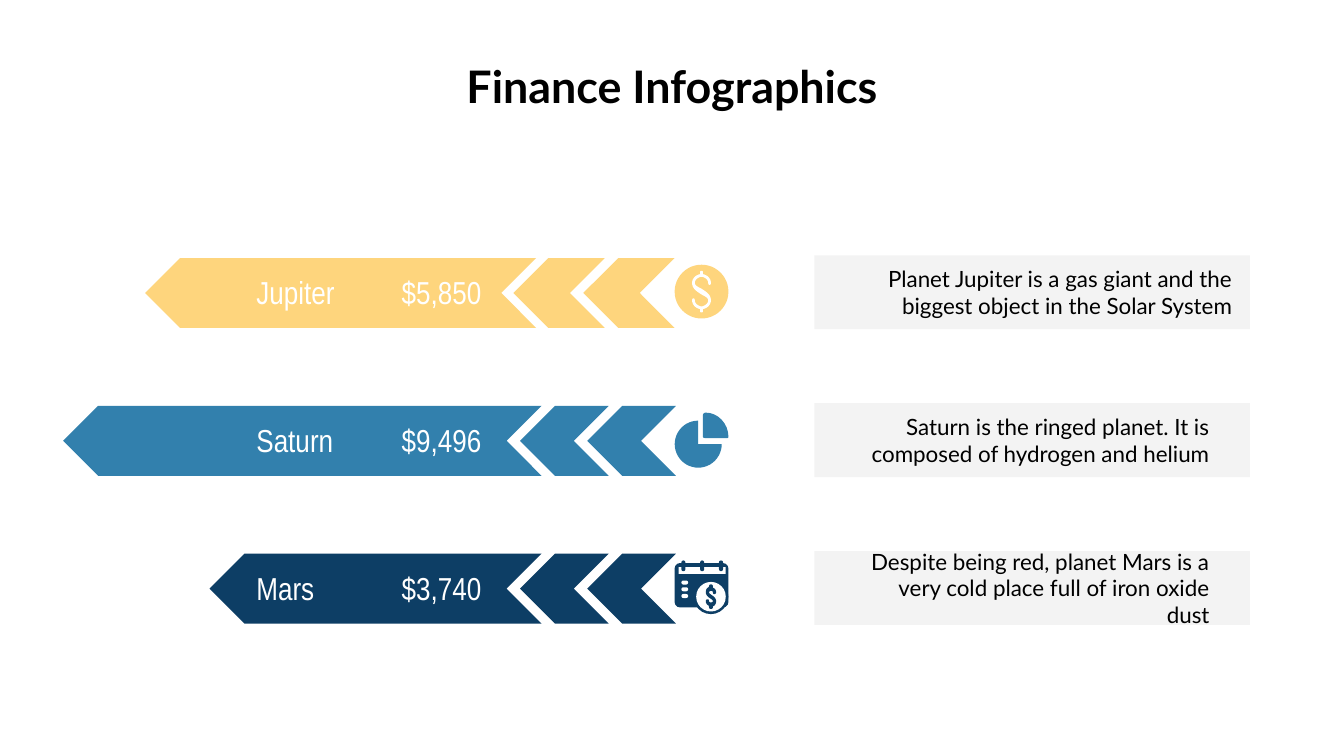
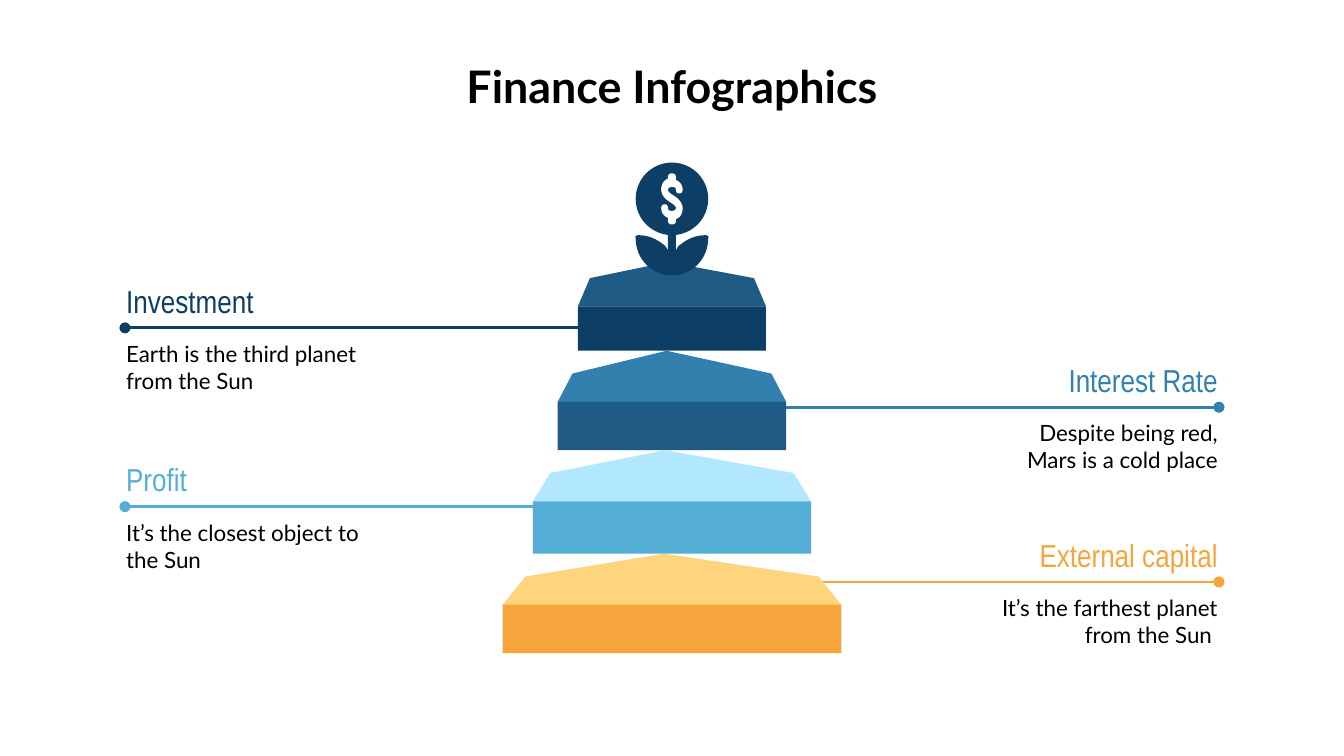
"""Build two finance infographic slides: planet arrows and a layered pyramid."""
from dataclasses import dataclass

from lxml import etree
from pptx import Presentation
from pptx.dml.color import RGBColor
from pptx.enum.shapes import MSO_CONNECTOR, MSO_SHAPE
from pptx.enum.text import MSO_ANCHOR, PP_ALIGN
from pptx.oxml.ns import qn
from pptx.util import Inches, Pt

RECT, ROUND, OVAL = MSO_SHAPE.RECTANGLE, MSO_SHAPE.ROUNDED_RECTANGLE, MSO_SHAPE.OVAL
CHEVRON, PIE = MSO_SHAPE.CHEVRON, MSO_SHAPE.PIE
STRAIGHT = MSO_CONNECTOR.STRAIGHT
LEFT, CENTER, RIGHT = PP_ALIGN.LEFT, PP_ALIGN.CENTER, PP_ALIGN.RIGHT
TOP, MIDDLE = MSO_ANCHOR.TOP, MSO_ANCHOR.MIDDLE


@dataclass(frozen=True)
class Theme:
    body_font: str = "Lato"
    label_font: str = "Arial Narrow"
    title_size: int = 24
    label_size: int = 17
    body_size: int = 12
    line_width: float = 1.5
    black: str = "000000"
    white: str = "FFFFFF"
    card: str = "F3F3F3"
    yellow: str = "FED57D"
    orange: str = "F6A53C"
    ice: str = "B1E7FF"
    sky: str = "54AED6"
    blue: str = "3280AD"
    steel: str = "1F5B84"
    navy: str = "0D3E65"


T = Theme()
WIDTH = 10
HEIGHT = WIDTH * 9 / 16
TITLE = "Finance Infographics"

ROW_TOP, ROW_STEP, ROW_HEIGHT = 1.92, 1.1, 0.52
ICON_LEFT = 5.02
PLANETS = [
    dict(name="Jupiter", value="$5,850", color=T.yellow, icon="coin", bar=(1.08, 3.99),
         arrow=(3.82, 0.68, 0.52), card_right=0.13,
         text="Planet Jupiter is a gas giant and the biggest object in the Solar System"),
    dict(name="Saturn", value="$9,496", color=T.blue, icon="pie", bar=(0.47, 4.03),
         arrow=(3.87, 0.66, 0.5), card_right=0.3,
         text="Saturn is the ringed planet. It is composed of hydrogen and helium"),
    dict(name="Mars", value="$3,740", color=T.navy, icon="calendar", bar=(1.56, 4.03),
         arrow=(3.87, 0.66, 0.5), card_right=0.3,
         text="Despite being red, planet Mars is a very cold place full of iron oxide dust"),
]

MARGIN = 0.84
SHOULDER = 0.21
LAYERS = [
    dict(width=1.4, inset=0.09, top=1.95, eave=2.28, roof=T.steel, wall=T.navy),
    dict(width=1.7, inset=0.11, top=2.61, eave=2.99, roof=T.blue, wall=T.steel),
    dict(width=2.07, inset=0.13, top=3.35, eave=3.73, roof=T.ice, wall=T.sky),
    dict(width=2.52, inset=0.17, top=4.12, eave=4.5, roof=T.yellow, wall=T.orange),
]
PYRAMID_BOTTOM = 4.86
CALLOUTS = [
    ("External capital", "It’s the farthest planet from the Sun ", T.orange, RIGHT, 4.33, 5.58),
    ("Interest Rate", "Despite being red,\nMars is a cold place", T.blue, RIGHT, 3.03, 5.26),
    ("Profit", "It’s the closest object to the Sun", T.sky, LEFT, 3.77, 4.33),
    ("Investment", "Earth is the third planet from the Sun", T.navy, LEFT, 2.44, 4.74),
]

BOLD_DOLLAR = [(0, -19), (2, -19, 3, -18, 3, -16), (3, -14), (6, -13, 8, -10, 8, -7),
               (8, -5, 7, -4, 5, -4), (4, -4, 3, -5, 3, -7), (3, -8, 2, -9, 0, -9),
               (-1, -9, -3, -8, -3, -7), (-3, -5, -1, -4, 2, -2), (5, 0, 8, 3, 8, 7),
               (8, 11, 6, 14, 3, 15), (3, 16), (3, 18, 2, 19, 0, 19)]
THIN_DOLLAR = [(0, -15.5), (1, -15.5, 1, -15, 1, -14.5), (1, -13), (4, -12.5, 7, -10, 7, -6.5),
               (7, -5.5, 6.5, -5, 6, -5), (5.5, -5, 5, -5.5, 5, -6.5), (5, -9, 2, -11, 0, -11),
               (-2, -11, -5, -9, -5, -6.5), (-5, -4, -1, -3, 1, -1.5), (4, 0.5, 7, 2.5, 7, 6.5),
               (7, 10, 4, 12.5, 1, 13), (1, 14.5), (1, 15, 1, 15.5, 0, 15.5)]
WEDGE = [(2, 0), (11, 0, 19, 8, 19, 18), (19, 18.5, 18.5, 19, 18, 19), (2, 19),
         (1, 19, 0, 18.5, 0, 18), (0, 2), (0, 1, 1, 0, 2, 0)]
LEAF = [(0, 31), (7, 31, 14, 28, 19, 23), (24, 18, 27, 11, 27, 3), (28, 2, 26, 1, 25, 1),
        (17, 1, 11, 4, 5, 9), (4, 10, 4, 11, 3, 12), (3, 0)]


def trace(steps, parts=8):
    """Turn points and cubic curves into a list of points."""
    pts = [steps[0]]
    for step in steps[1:]:
        if len(step) == 2:
            pts.append(step)
            continue
        nodes = [pts[-1], step[:2], step[2:4], step[4:]]
        for i in range(1, parts + 1):
            t = i / parts
            weights = ((1 - t) ** 3, 3 * t * (1 - t) ** 2, 3 * t * t * (1 - t), t ** 3)
            pts.append(tuple(sum(w * n[axis] for w, n in zip(weights, nodes)) for axis in (0, 1)))
    return pts


def paint(sp, color):
    """Give a shape a flat fill with no outline or shadow."""
    sp.shadow.inherit = False
    sp.fill.solid()
    sp.fill.fore_color.rgb = RGBColor.from_string(color)
    sp.line.fill.background()
    return sp


def add_block(shapes, kind, x, y, w, h, color, adj=None):
    """Add a flat preset shape."""
    sp = shapes.add_shape(kind, Inches(x), Inches(y), Inches(w), Inches(h))
    if adj is not None:
        sp.adjustments[0] = adj
    return paint(sp, color)


def add_outline(shapes, pts, color, x=0, y=0, unit=1):
    """Add a closed flat outline, its points measured in units from x, y."""
    pts = [(Inches(x + px * unit), Inches(y + py * unit)) for px, py in pts]
    builder = shapes.build_freeform(*pts[0], scale=1)
    builder.add_line_segments(pts[1:], close=True)
    return paint(builder.convert_to_shape(), color)


def write(sp, text, font=T.body_font, size=T.body_size, color=T.black, bold=False,
          align=LEFT, anchor=MIDDLE, left=0.1, right=0.1):
    """Write formatted text in a shape."""
    tf = sp.text_frame
    tf.word_wrap = True
    tf.vertical_anchor = anchor
    tf.margin_left, tf.margin_right = Inches(left), Inches(right)
    tf.margin_top = tf.margin_bottom = Inches(0.1)
    p = tf.paragraphs[0]
    p.text = text
    p.alignment = align
    for r in p.runs:
        r.font.name, r.font.size, r.font.bold = font, Pt(size), bold
        r.font.color.rgb = RGBColor.from_string(color)


def add_text(s, x, y, w, h, text, **style):
    """Add a text box."""
    write(s.shapes.add_textbox(Inches(x), Inches(y), Inches(w), Inches(h)), text, **style)


def add_dollar(shapes, half, color, x, y, scale=1):
    """Add a dollar sign centred on x, y from half of its outline."""
    pts = trace(half)
    add_outline(shapes, pts + [(-px, -py) for px, py in pts], color, x, y, scale / 100)


def draw_coin(shapes, x, y, color):
    """Draw a coin."""
    add_block(shapes, OVAL, x, y, 0.4, 0.4, color)
    add_dollar(shapes, THIN_DOLLAR, T.white, x + 0.2, y + 0.2)


def draw_pie(shapes, x, y, color):
    """Draw a pie with its quarter pulled out."""
    add_block(shapes, PIE, x, y + 0.06, 0.35, 0.35, color)
    add_outline(shapes, trace(WEDGE), color, x + 0.21, y, 0.01)


def draw_calendar(shapes, x, y, color):
    """Draw a calendar with a coin on its corner."""
    add_block(shapes, ROUND, x, y + 0.02, 0.4, 0.33, color, 0.12)
    add_block(shapes, RECT, x + 0.03, y + 0.05, 0.35, 0.05, T.white)
    for i in range(3):
        add_block(shapes, ROUND, x + 0.05 + i * 0.14, y, 0.03, 0.08, color, 0.5)
        add_block(shapes, ROUND, x + 0.05, y + 0.15 + i * 0.05, 0.05, 0.03, T.white, 0.5)
    for r, shade in ((0.13, color), (0.11, T.white)):
        add_block(shapes, OVAL, x + 0.27 - r, y + 0.27 - r, 2 * r, 2 * r, shade)
    add_dollar(shapes, BOLD_DOLLAR, color, x + 0.27, y + 0.27, 0.48)


def draw_plant(shapes, x, y, color):
    """Draw a coin growing on two leaves, centred on x."""
    add_block(shapes, OVAL, x - 0.27, y, 0.54, 0.54, color)
    pts = trace(LEAF)
    add_outline(shapes, pts + [(-px, py) for px, py in reversed(pts)], color, x, y + 0.53, 0.01)
    add_dollar(shapes, BOLD_DOLLAR, T.white, x, y + 0.27)


ICONS = {"coin": draw_coin, "pie": draw_pie, "calendar": draw_calendar}


def add_slide(prs):
    """Add a blank slide with the shared title."""
    s = prs.slides.add_slide(prs.slide_layouts[6])
    add_text(s, 0.2, 0.34, WIDTH - 0.4, 0.63, TITLE, size=T.title_size, bold=True,
             align=CENTER, anchor=TOP)
    return s


def add_planet(s, planet, y):
    """Add one row: arrow bar, labels, icon and card."""
    color = planet["color"]
    start, end = planet["bar"]
    x, w, step = planet["arrow"]
    bars = s.shapes.add_group_shape().shapes
    for left, width in ((start, end - start), (x, w), (x + step, w)):
        sp = add_block(bars, CHEVRON, left, y, width, ROW_HEIGHT, color, 0.5)
        sp._element.spPr.find(qn("a:xfrm")).set("flipH", "1")
    card = add_block(s.shapes, RECT, 6.06, y - 0.02, 3.24, 0.55, T.card)
    write(card, planet["text"], align=RIGHT, left=0.3, right=planet["card_right"])
    for left, key in ((1.81, "name"), (2.89, "value")):
        add_text(s, left, y + 0.02, 0.96, 0.47, planet[key], font=T.label_font,
                 size=T.label_size, color=T.white)
    ICONS[planet["icon"]](s.shapes.add_group_shape().shapes, ICON_LEFT, y + 0.05, color)


def add_pointer(s, x1, x2, y, color):
    """Add a level line that starts with a dot."""
    line = s.shapes.add_connector(STRAIGHT, Inches(x1), Inches(y), Inches(x2), Inches(y))
    line.line.width = Pt(T.line_width)
    line.line.color.rgb = RGBColor.from_string(color)
    etree.SubElement(line.line._get_or_add_ln(), qn("a:headEnd"), type="oval")
    etree.SubElement(line._element.spPr, qn("a:effectLst"))


def add_pyramid(s):
    """Stack the layers, each a roof above a wall."""
    shapes = s.shapes.add_group_shape().shapes
    bottoms = [layer["top"] for layer in LAYERS[1:]] + [PYRAMID_BOTTOM]
    for i, (layer, bottom) in enumerate(zip(LAYERS, bottoms)):
        w, inset, eave = layer["width"], layer["inset"], layer["eave"]
        x = (WIDTH - w) / 2
        roof = [(4.97 - i * 0.01, layer["top"]), (x + inset, eave - SHOULDER), (x, eave),
                (x + w, eave), (x + w - inset, eave - SHOULDER)]
        add_outline(shapes, roof, layer["roof"])
        add_block(shapes, RECT, x, eave, w, bottom - eave, layer["wall"])


def main():
    """Build and save the deck."""
    prs = Presentation()
    prs.slide_width, prs.slide_height = Inches(WIDTH), Inches(HEIGHT)

    s = add_slide(prs)
    for i, planet in enumerate(PLANETS):
        add_planet(s, planet, ROW_TOP + i * ROW_STEP)

    s = add_slide(prs)
    for _, _, color, side, y, end in CALLOUTS:
        add_pointer(s, 0.93 if side == LEFT else WIDTH - 0.93, end, y, color)
    add_pyramid(s)
    for label, text, color, side, y, _ in CALLOUTS:
        for w, h, top, words, style in (
                (1.75, 0.47, y - 0.44, label,
                 dict(font=T.label_font, size=T.label_size, color=color)),
                (1.94, 0.58, y, text, {})):
            x = MARGIN if side == LEFT else WIDTH - MARGIN - w
            add_text(s, x, top, w, h, words, align=side, **style)
    draw_plant(s.shapes.add_group_shape().shapes, WIDTH / 2, 1.21, T.navy)

    prs.save("out.pptx")


if __name__ == "__main__":
    main()
